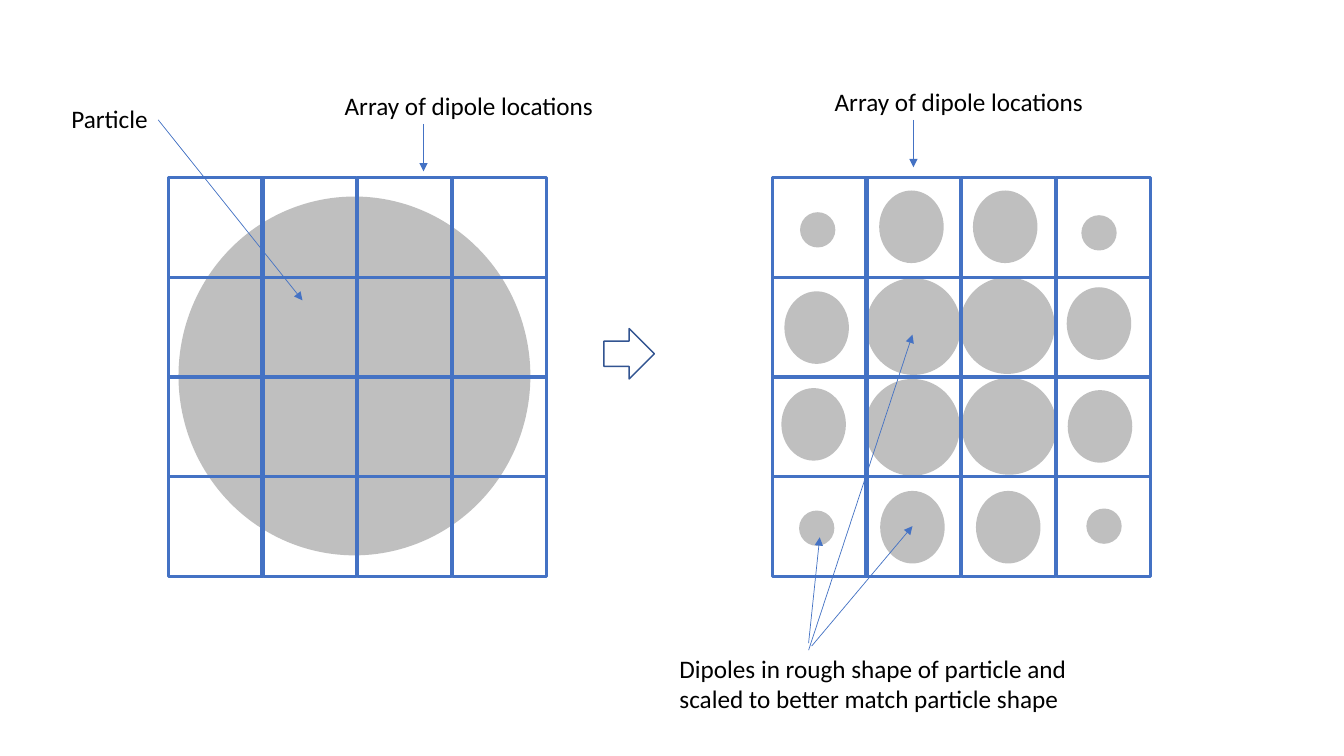
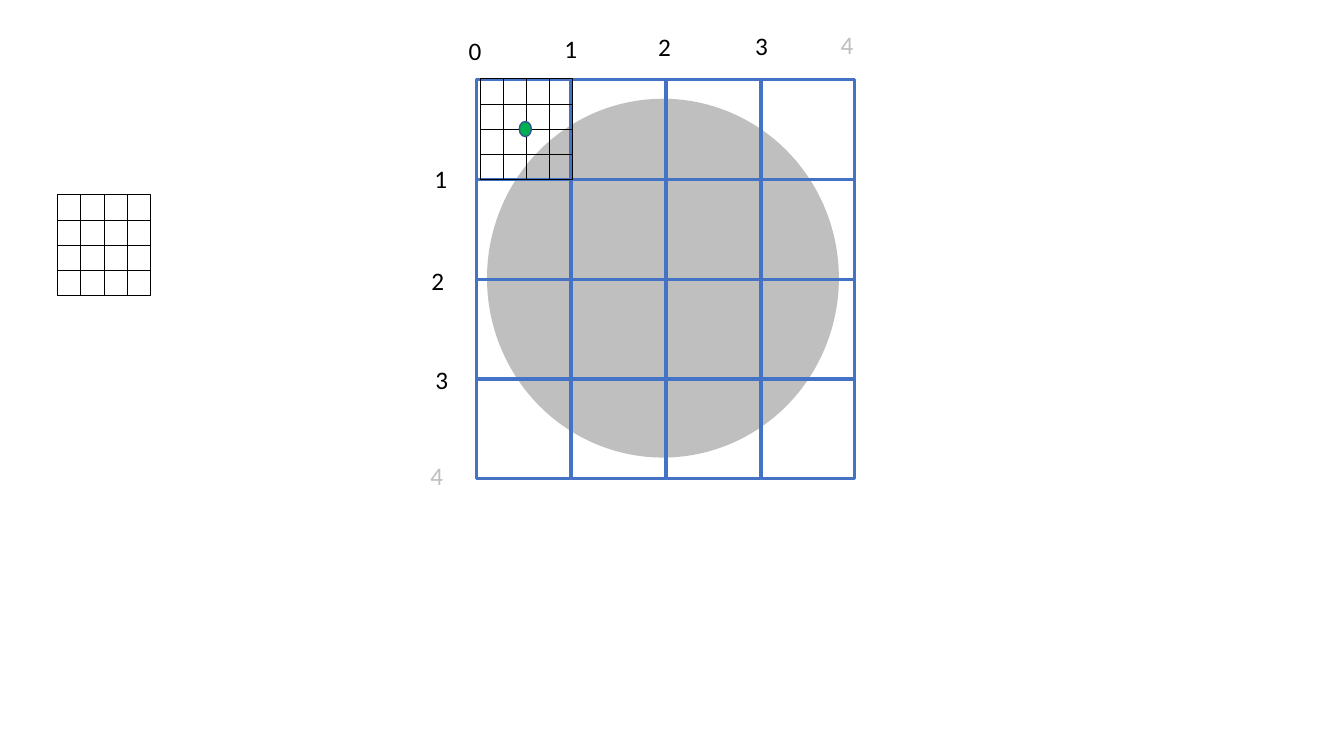
"""Build two slides on dipole arrays that approximate a round particle."""
import lxml.etree
import pptx
import pptx.dml.color
import pptx.enum.shapes
import pptx.enum.text
import pptx.oxml.ns
import pptx.util
from pptx.util import Inches

BLUE = pptx.dml.color.RGBColor(0x44, 0x72, 0xC4)
NAVY = pptx.dml.color.RGBColor(0x32, 0x54, 0x91)
GREY = pptx.dml.color.RGBColor(0xBF, 0xBF, 0xBF)
GREEN = pptx.dml.color.RGBColor(0x00, 0xB0, 0x50)
BLACK = pptx.dml.color.RGBColor(0, 0, 0)
WHITE = pptx.dml.color.RGBColor(0xFF, 0xFF, 0xFF)
FONT = "Calibri"
COUNT = 4
SHAPES = pptx.enum.shapes.MSO_SHAPE


class Diagram:
    """Hold the shared style and the slide being drawn."""

    def __init__(self):
        self.deck = pptx.Presentation()
        self.deck.slide_width = Inches(13.33)
        self.deck.slide_height = Inches(7.5)
        self.slide = None

    def new_slide(self):
        """Start a blank slide."""
        self.slide = self.deck.slides.add_slide(self.deck.slide_layouts[6])

    def shape(self, kind, left, top, width, height, fill=None, line=None,
              weight=1, group=None):
        """Draw a preset shape on the slide or in a group."""
        target = (group or self.slide).shapes
        shape = target.add_shape(kind, Inches(left), Inches(top),
                                 Inches(width), Inches(height))
        shape.shadow.inherit = False
        if fill is None:
            shape.fill.background()
        else:
            shape.fill.solid()
            shape.fill.fore_color.rgb = fill
        if line is None:
            shape.line.fill.background()
        else:
            shape.line.color.rgb = line
            shape.line.width = pptx.util.Pt(weight)

    def dot(self, center_x, center_y, width, height, fill=GREY, line=None):
        """Draw an ellipse about its centre."""
        self.shape(SHAPES.OVAL, center_x - width / 2, center_y - height / 2,
                   width, height, fill, line)

    def grid(self, left, top, step_x, step_y, width, height, line, weight, group=None):
        """Draw a square array of outlined cells."""
        for row in range(COUNT):
            for column in range(COUNT):
                self.shape(SHAPES.RECTANGLE, left + column * step_x,
                           top + row * step_y, width, height,
                           line=line, weight=weight, group=group)

    def dipole_array(self, left, top):
        """Draw the blue array of dipole locations."""
        self.grid(left, top, 0.94, 0.99, 0.93, 0.99, BLUE, 2.25)

    def fine_array(self, left, top):
        """Draw the grouped black subdivision of one cell."""
        self.grid(left, top, 0.23, 0.25, 0.23, 0.25, BLACK, 0.25,
                  self.slide.shapes.add_group_shape())

    def particle(self, left, top):
        """Draw the particle under its dipole array."""
        self.shape(SHAPES.OVAL, left + 0.1, top + 0.19, 3.49, 3.56, GREY)
        self.dipole_array(left, top)

    def text(self, words, left, top, width, height=0.4, color=BLACK, wrap=False):
        """Write a label."""
        box = self.slide.shapes.add_textbox(Inches(left), Inches(top),
                                            Inches(width), Inches(height))
        frame = box.text_frame
        frame.word_wrap = wrap
        frame.auto_size = pptx.enum.text.MSO_AUTO_SIZE.SHAPE_TO_FIT_TEXT
        run = frame.paragraphs[0].add_run()
        run.text = words
        run.font.name = FONT
        run.font.size = pptx.util.Pt(18)
        run.font.color.rgb = color

    def arrow(self, start, end):
        """Draw a thin pointer with a triangle at its end."""
        pointer = self.slide.shapes.add_connector(
            pptx.enum.shapes.MSO_CONNECTOR.STRAIGHT,
            *(Inches(value) for value in (*start, *end)))
        pointer.line.color.rgb = BLUE
        pointer.line.width = pptx.util.Pt(0.5)
        properties = pointer.element.spPr
        outline = properties.find(pptx.oxml.ns.qn("a:ln"))
        lxml.etree.SubElement(outline, pptx.oxml.ns.qn("a:tailEnd"), type="triangle")
        lxml.etree.SubElement(properties, pptx.oxml.ns.qn("a:effectLst"))

    def array_label(self, left, top):
        """Name the array and point down to it."""
        self.arrow((left + 0.88, top + 0.38), (left + 0.88, top + 0.85))
        self.text("Array of dipole locations", left, top, 2.69)


diagram = Diagram()

diagram.new_slide()
diagram.particle(1.67, 1.76)
diagram.array_label(3.32, 0.85)
diagram.arrow((1.57, 1.19), (3, 2.98))
diagram.text("Particle", 0.61, 0.98, 0.97)
diagram.shape(SHAPES.RIGHT_ARROW, 5.99, 3.26, 0.5, 0.5, WHITE, NAVY)

dipole_centers = {
    (0.94, 0.96): [(9.06, 3.24), (9.99, 3.23), (10.01, 4.23), (9.05, 4.24)],
    (0.64, 0.72): [(9.05, 5.23), (10, 5.23), (9.04, 2.25), (9.97, 2.25),
                   (8.07, 4.21), (8.1, 3.25), (10.91, 4.23), (10.9, 3.21)],
    (0.35, 0.35): [(10.95, 5.22), (10.9, 2.31), (8.11, 2.28), (8.1, 5.24)],
}
for size, centers in dipole_centers.items():
    for center in centers:
        diagram.dot(*center, *size)
diagram.dipole_array(7.66, 1.76)
diagram.array_label(8.18, 0.81)
for start, dipole in (((8.02, 6.45), (9.05, 3.32)),
                      ((8.05, 6.41), (9.05, 5.22)),
                      ((8.02, 6.38), (8.13, 5.33))):
    diagram.arrow(start, dipole)
diagram.text("Dipoles in rough shape of particle and scaled to better match "
             "particle shape", 6.64, 6.43, 4.15, 0.71, wrap=True)

diagram.new_slide()
diagram.particle(4.73, 0.79)
column_places = [(4.55, 0.3), (5.5, 0.28), (6.43, 0.26), (7.39, 0.25), (8.24, 0.24)]
row_places = [(4.21, 1.57), (4.18, 2.58), (4.22, 3.57), (4.17, 4.52)]
for first, places in ((0, column_places), (1, row_places)):
    for index, place in enumerate(places, first):
        diagram.text(str(index), *place, 0.33,
                     color=GREY if index == COUNT else BLACK)
diagram.fine_array(4.76, 0.78)
diagram.fine_array(0.57, 1.93)
diagram.dot(5.21, 1.28, 0.12, 0.15, GREEN, NAVY)

diagram.deck.save("out.pptx")
